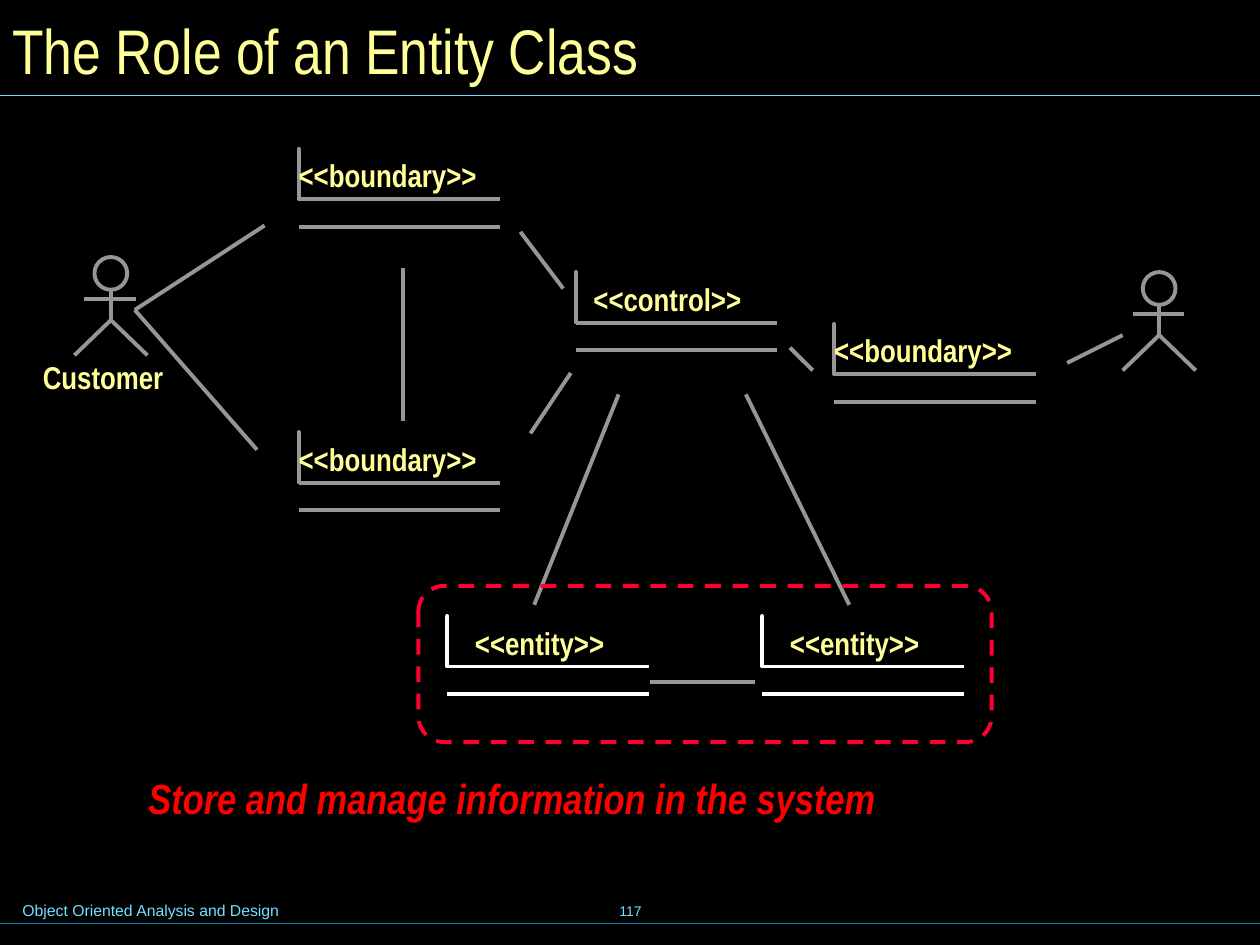
from dataclasses import dataclass

from lxml.etree import SubElement
from pptx import Presentation
from pptx.dml.color import RGBColor
from pptx.enum.dml import MSO_LINE
from pptx.enum.shapes import MSO_CONNECTOR, MSO_SHAPE
from pptx.enum.text import MSO_ANCHOR, MSO_AUTO_SIZE, PP_ALIGN
from pptx.oxml.ns import qn
from pptx.shapes.autoshape import Shape
from pptx.slide import Slide
from pptx.util import Inches, Pt

BLACK = RGBColor(0x00, 0x00, 0x00)
WHITE = RGBColor(0xFF, 0xFF, 0xFF)
GRAY = RGBColor(0x96, 0x96, 0x96)
CREAM = RGBColor(0xFF, 0xFF, 0x99)
RED = RGBColor(0xFF, 0x00, 0x00)
ROSE = RGBColor(0xFF, 0x00, 0x33)
SKY = RGBColor(0x73, 0xE1, 0xFF)
TEAL = RGBColor(0x00, 0x7E, 0x9F)
NARROW = "Arial Narrow"


@dataclass(frozen=True)
class Font:
    size: float
    color: RGBColor
    name: str = NARROW
    bold: bool = False
    slant: bool = False


@dataclass(frozen=True)
class Kind:
    name: str
    inset: float
    width: float
    color: RGBColor = GRAY


@dataclass(frozen=True)
class Node:
    kind: Kind
    left: float
    top: float


@dataclass(frozen=True)
class Link:
    x1: float
    y1: float
    x2: float
    y2: float


@dataclass(frozen=True)
class Actor:
    left: float
    top: float


LABEL = Font(18, CREAM, bold=True)
SMALL = Font(9, SKY, "Arial")
PAGE = Font(8, SKY, "Arial")
TITLE = Font(36, CREAM)
NOTE = Font(24, RED, bold=True, slant=True)

BOUNDARY = Kind("boundary", 0, 1.45)
CONTROL = Kind("control", 0.14, 1.21)
ENTITY = Kind("entity", 0.22, 1.07, WHITE)

NODES = [
    Node(BOUNDARY, 2.37, 1.18),
    Node(BOUNDARY, 2.37, 3.43),
    Node(CONTROL, 4.57, 2.16),
    Node(BOUNDARY, 6.62, 2.57),
    Node(ENTITY, 3.55, 4.89),
    Node(ENTITY, 6.05, 4.89),
]
ACTORS = [Actor(0.59, 2.04), Actor(8.91, 2.16)]
LINKS = [
    Link(1.07, 2.46, 2.1, 1.79),
    Link(1.07, 2.46, 2.04, 3.57),
    Link(3.2, 2.13, 3.2, 3.34),
    Link(8.47, 2.88, 8.91, 2.66),
    Link(4.21, 3.44, 4.53, 2.96),
    Link(4.13, 1.84, 4.47, 2.29),
    Link(4.24, 4.8, 4.91, 3.13),
    Link(5.92, 3.13, 6.74, 4.8),
    Link(5.99, 5.41, 5.16, 5.41),
    Link(6.45, 2.94, 6.27, 2.76),
]


def draw_line(slide: Slide, link: Link, color: RGBColor = GRAY, width: float = 2.25) -> None:
    line = slide.shapes.add_connector(
        MSO_CONNECTOR.STRAIGHT,
        Inches(link.x1), Inches(link.y1), Inches(link.x2), Inches(link.y2),
    )
    line.line.color.rgb = color
    line.line.width = Pt(width)
    SubElement(line._element.spPr, qn("a:effectLst"))


def outline(shape: Shape, color: RGBColor = GRAY) -> None:
    shape.shadow.inherit = False
    shape.fill.background()
    shape.line.color.rgb = color
    shape.line.width = Pt(2.25)


def add_shape(slide: Slide, kind: MSO_SHAPE, left: float, top: float, width: float,
              height: float, color: RGBColor = GRAY) -> Shape:
    shape = slide.shapes.add_shape(
        kind, Inches(left), Inches(top), Inches(width), Inches(height))
    outline(shape, color)
    return shape


def add_text(slide: Slide, text: str, left: float, top: float, width: float,
             height: float, font: Font, pad: bool = True, wrap: bool = True,
             grow: bool = True, align: PP_ALIGN = PP_ALIGN.LEFT) -> None:
    box = slide.shapes.add_textbox(Inches(left), Inches(top), Inches(width), Inches(height))
    frame = box.text_frame
    frame.word_wrap = wrap
    frame.auto_size = MSO_AUTO_SIZE.SHAPE_TO_FIT_TEXT if grow else MSO_AUTO_SIZE.NONE
    frame.vertical_anchor = MSO_ANCHOR.TOP if grow else MSO_ANCHOR.MIDDLE
    frame.margin_left = frame.margin_right = Inches(0.1 if pad else 0)
    frame.margin_top = frame.margin_bottom = Inches(0.05 if pad else 0)
    para = frame.paragraphs[0]
    para.alignment = align
    run = para.add_run()
    run.text = text
    run.font.size = Pt(font.size)
    run.font.name = font.name
    run.font.bold = font.bold
    run.font.italic = font.slant
    run.font.color.rgb = font.color


def add_label(slide: Slide, text: str, left: float, top: float, width: float) -> None:
    add_text(slide, text, left, top, width, 0.3, LABEL, pad=False, wrap=False)


def draw_actor(slide: Slide, actor: Actor) -> None:
    x, y = actor.left, actor.top
    mid, hip, foot = x + 0.29, y + 0.5, y + 0.78
    add_shape(slide, MSO_SHAPE.OVAL, x + 0.16, y, 0.26, 0.26)
    draw_line(slide, Link(mid, y + 0.26, mid, hip))
    draw_line(slide, Link(x + 0.08, y + 0.33, x + 0.49, y + 0.33))
    path = slide.shapes.build_freeform(Inches(x), Inches(foot))
    path.add_line_segments(
        [(Inches(mid), Inches(hip)), (Inches(x + 0.58), Inches(foot))], close=False)
    outline(path.convert_to_shape())


def draw_node(slide: Slide, node: Node) -> None:
    x, y, kind = node.left, node.top, node.kind
    add_shape(slide, MSO_SHAPE.RECTANGLE, x, y, 0, 0.4, kind.color)
    for drop in (0.62, 0.4):
        draw_line(slide, Link(x, y + drop, x + 1.6, y + drop), kind.color)
    add_label(slide, f"<<{kind.name}>>", x + kind.inset, y + 0.06, kind.width)


def main() -> None:
    """Build the slide on the role of an entity class."""
    deck = Presentation()
    deck.slide_width, deck.slide_height = Inches(10), Inches(7.5)
    slide = deck.slides.add_slide(deck.slide_layouts[6])
    slide.background.fill.solid()
    slide.background.fill.fore_color.rgb = BLACK

    add_text(slide, "Object Oriented Analysis and Design", 0.08, 7.1, 5.1, 0.25, SMALL)
    add_text(slide, "117", 3.42, 6.98, 3.17, 0.5, PAGE,
             wrap=False, grow=False, align=PP_ALIGN.CENTER)
    draw_line(slide, Link(0, 7.33, 10.04, 7.33), TEAL, 0.75)
    draw_line(slide, Link(0, 0.76, 10, 0.76), SKY, 0.75)
    add_text(slide, "Store and manage information in the system",
             1.08, 6.08, 8.17, 0.5, NOTE)

    for actor in ACTORS:
        draw_actor(slide, actor)
    add_label(slide, "Customer", 0.34, 2.84, 0.96)
    for link in LINKS:
        draw_line(slide, link)
    frame = add_shape(slide, MSO_SHAPE.ROUNDED_RECTANGLE, 3.32, 4.65, 4.55, 1.24, ROSE)
    frame.line.dash_style = MSO_LINE.DASH
    for node in NODES:
        draw_node(slide, node)
    add_text(slide, "The Role of an Entity Class", 0, 0, 9.93, 0.78, TITLE, grow=False)

    deck.save("out.pptx")


if __name__ == "__main__":
    main()
